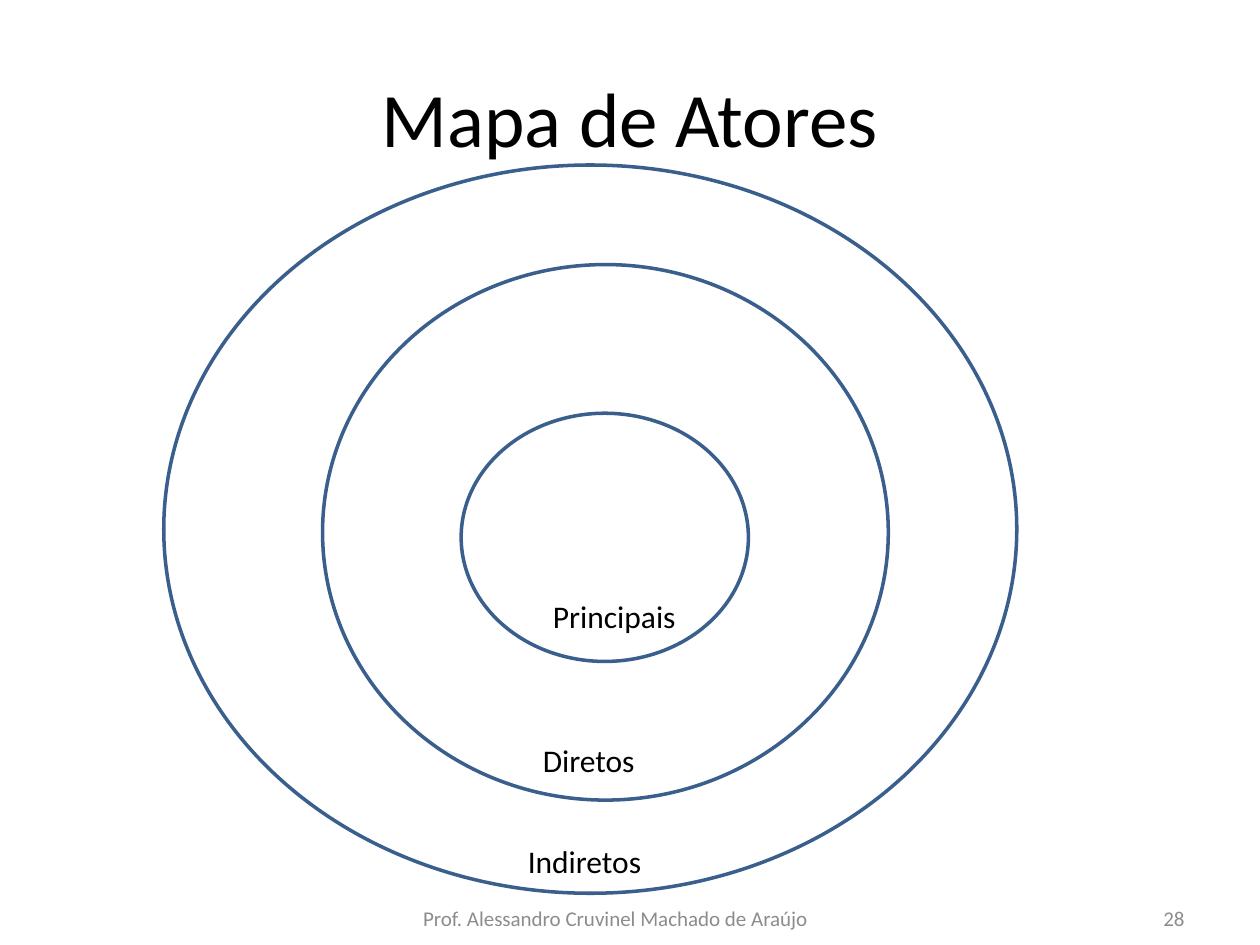
from pptx import Presentation
from pptx.dml.color import RGBColor
from pptx.enum import shapes, text
from pptx.util import Inches, Pt

BLACK = RGBColor(0x00, 0x00, 0x00)
GRAY = RGBColor(0x8C, 0x8C, 0x8C)
WHITE = RGBColor(0xFF, 0xFF, 0xFF)
BLUE = RGBColor(0x3A, 0x5F, 0x8C)

LEFT, CENTER, RIGHT = text.PP_ALIGN.LEFT, text.PP_ALIGN.CENTER, text.PP_ALIGN.RIGHT
TOP, MIDDLE = text.MSO_ANCHOR.TOP, text.MSO_ANCHOR.MIDDLE


def write(frame, wording, size=18, color=BLACK, align=LEFT, anchor=TOP, wrap=True):
    frame.word_wrap = wrap
    frame.auto_size = text.MSO_AUTO_SIZE.NONE if wrap else text.MSO_AUTO_SIZE.SHAPE_TO_FIT_TEXT
    frame.vertical_anchor = anchor
    paragraph = frame.paragraphs[0]
    paragraph.alignment = align
    run = paragraph.add_run()
    run.text = wording
    run.font.name = "Calibri"
    run.font.size = Pt(size)
    run.font.color.rgb = color


def add_title(slide, wording):
    title = slide.shapes.title
    title.left, title.top = Inches(0.5), Inches(0.3)
    title.width, title.height = Inches(9), Inches(1.25)
    write(title.text_frame, wording, size=44, align=CENTER, anchor=MIDDLE)
    slide.shapes.element.append(title.element)


def add_ring(slide, *box):
    ring = slide.shapes.add_shape(shapes.MSO_SHAPE.OVAL, *map(Inches, box))
    ring.shadow.inherit = False
    ring.fill.solid()
    ring.fill.fore_color.rgb = WHITE
    ring.line.color.rgb = BLUE
    ring.line.width = Pt(2)


def add_label(slide, wording, left, top, width, **style):
    label = slide.shapes.add_textbox(Inches(left), Inches(top), Inches(width), Inches(0.4))
    write(label.text_frame, wording, **style)


def main():
    deck = Presentation()
    deck.slide_width, deck.slide_height = Inches(10), Inches(7.5)
    slide = deck.slides.add_slide(deck.slide_layouts[5])

    add_ring(slide, 1.3, 1.31, 6.77, 5.78)
    add_ring(slide, 2.56, 2.1, 4.49, 4.25)
    add_title(slide, "Mapa de Atores")

    footer = dict(size=12, color=GRAY, anchor=MIDDLE)
    add_label(slide, "Prof. Alessandro Cruvinel Machado de Araújo",
              2.11, 7.09, 5.55, align=CENTER, **footer)
    add_label(slide, "28", 7.17, 7.09, 2.33, align=RIGHT, **footer)

    add_ring(slide, 3.66, 3.28, 2.28, 1.97)
    for actors, left, top, width in (
        ("Principais", 4.29, 4.69, 1.19),
        ("Diretos", 4.21, 5.83, 0.94),
        ("Indiretos", 4.09, 6.63, 1.11),
    ):
        add_label(slide, actors, left, top, width, wrap=False)

    deck.save("out.pptx")


if __name__ == "__main__":
    main()
